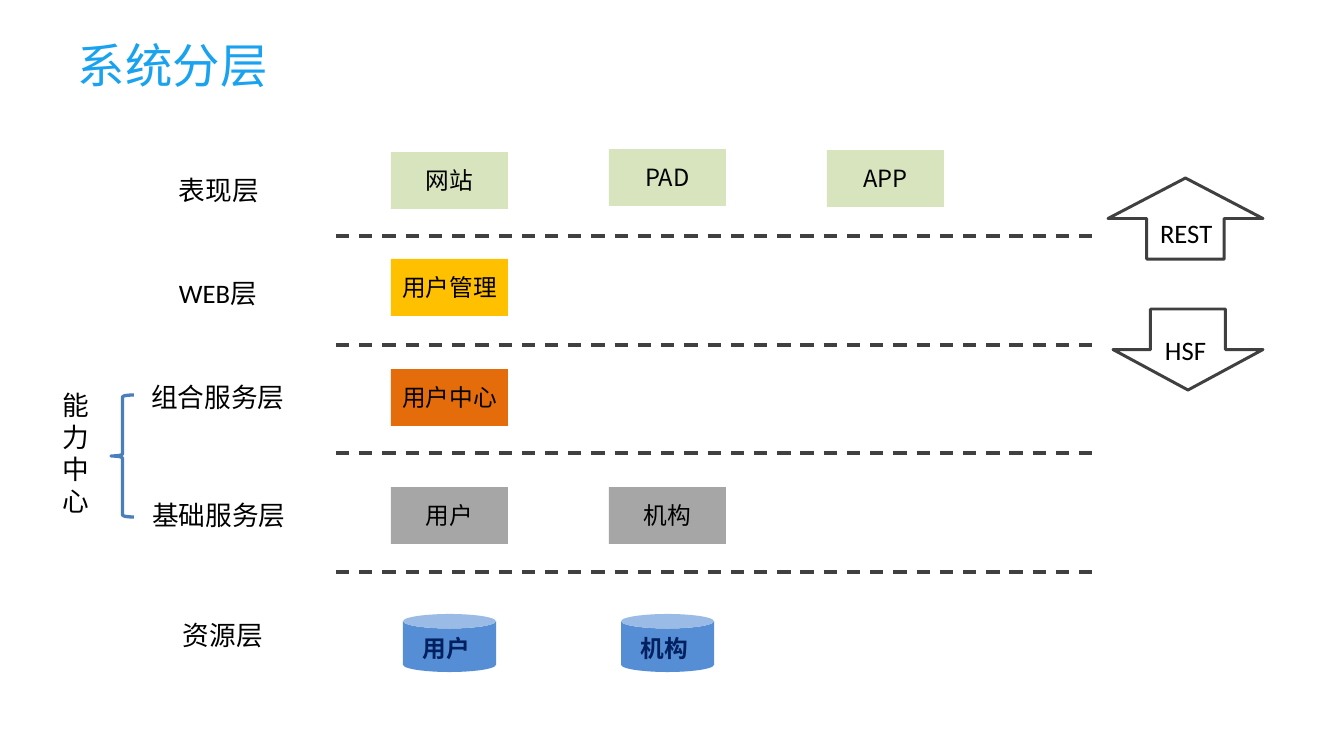
from lxml import etree
from pptx import Presentation
from pptx.dml.color import RGBColor
from pptx.enum.dml import MSO_LINE_DASH_STYLE
from pptx.enum.shapes import MSO_CONNECTOR_TYPE, MSO_SHAPE
from pptx.enum.text import MSO_ANCHOR, MSO_AUTO_SIZE, PP_ALIGN
from pptx.oxml.ns import qn
from pptx.util import Emu, Pt

DASH = MSO_LINE_DASH_STYLE.DASH
STRAIGHT = MSO_CONNECTOR_TYPE.STRAIGHT
RECTANGLE = MSO_SHAPE.RECTANGLE
CAN = MSO_SHAPE.CAN
UP_ARROW = MSO_SHAPE.UP_ARROW
LEFT_BRACE = MSO_SHAPE.LEFT_BRACE
TOP, MIDDLE = MSO_ANCHOR.TOP, MSO_ANCHOR.MIDDLE
NO_AUTOFIT = MSO_AUTO_SIZE.NONE
LEFT, CENTER = PP_ALIGN.LEFT, PP_ALIGN.CENTER

SKY = RGBColor(0x18, 0xA2, 0xEF)
BLACK = RGBColor(0x00, 0x00, 0x00)
WHITE = RGBColor(0xFF, 0xFF, 0xFF)
CHARCOAL = RGBColor(0x40, 0x40, 0x40)
NAVY = RGBColor(0x00, 0x20, 0x60)
BLUE = RGBColor(0x55, 0x8E, 0xD5)
STEEL = RGBColor(0x4B, 0x7E, 0xBC)
GREEN = RGBColor(0xD7, 0xE4, 0xBD)
AMBER = RGBColor(0xFF, 0xC0, 0x00)
ORANGE = RGBColor(0xE4, 0x6C, 0x0A)
GRAY = RGBColor(0xA6, 0xA6, 0xA6)

BODY_FONT = "Calibri"
CHINESE_FONT = "Noto Sans CJK SC"
TITLE_FONT = "Times New Roman"
TITLE_ONLY = 5
EMU_PER_PX = 8572.5

COLUMN_LEFT, COLUMN_STEP = 391, 218
BOX_WIDTH, BOX_HEIGHT = 117, 57
CAN_WIDTH, CAN_HEIGHT = 93, 58


def px(value):
    return Emu(round(value * EMU_PER_PX))


def write(shape, text, *, size=18, color=BLACK, font=BODY_FONT, east_asian=None,
          bold=False, align=LEFT, anchor=TOP, inset=(11, 5)):
    frame = shape.text_frame
    frame.word_wrap = True
    frame.auto_size = NO_AUTOFIT
    frame.vertical_anchor = anchor
    frame.margin_left = frame.margin_right = px(inset[0])
    frame.margin_top = frame.margin_bottom = px(inset[1])
    paragraph = frame.paragraphs[0]
    paragraph.alignment = align
    run = paragraph.add_run()
    run.text = text
    run.font.size = Pt(size)
    run.font.bold = bold
    run.font.name = font
    run.font.color.rgb = color
    properties = run.font._element
    etree.SubElement(properties, qn("a:ea")).set("typeface", east_asian or font)


class LayerSlide:
    def __init__(self, presentation):
        self.slide = presentation.slides.add_slide(presentation.slide_layouts[TITLE_ONLY])
        self.shapes = self.slide.shapes

    def title(self, text, left, top, width, height):
        shape = self.shapes.title
        shape.left, shape.top = px(left), px(top)
        shape.width, shape.height = px(width), px(height)
        write(shape, text, size=32, color=SKY, font=TITLE_FONT,
              east_asian=CHINESE_FONT, anchor=MIDDLE)

    def label(self, text, left, top, width, height=43, **style):
        shape = self.shapes.add_textbox(px(left), px(top), px(width), px(height))
        write(shape, text, **style)

    def shape(self, kind, left, top, width, height, fill=None, line=None, weight=2):
        shape = self.shapes.add_shape(kind, px(left), px(top), px(width), px(height))
        shape.shadow.inherit = False
        if fill is None:
            shape.fill.background()
        else:
            shape.fill.solid()
            shape.fill.fore_color.rgb = fill
        if line is None:
            shape.line.fill.background()
        else:
            shape.line.color.rgb = line
            shape.line.width = Pt(weight)
        return shape

    def box(self, text, column, top, fill):
        shape = self.shape(RECTANGLE, COLUMN_LEFT + column * COLUMN_STEP, top,
                           BOX_WIDTH, BOX_HEIGHT, fill)
        write(shape, text, size=16, font=CHINESE_FONT, align=CENTER,
              anchor=MIDDLE, inset=(8, 4))

    def database(self, text, column, top):
        left = COLUMN_LEFT + column * COLUMN_STEP + (BOX_WIDTH - CAN_WIDTH) // 2
        self.shape(CAN, left, top, CAN_WIDTH, CAN_HEIGHT, BLUE)
        self.label(text, left + 9, top + 15, 76, 39, size=16, color=NAVY, bold=True)

    def divider(self, left, right, top):
        line = self.shapes.add_connector(STRAIGHT, px(left), px(top), px(right), px(top))
        line.line.color.rgb = CHARCOAL
        line.line.width = Pt(2.25)
        line.line.dash_style = DASH
        etree.SubElement(line._element.spPr, qn("a:effectLst"))


def main():
    presentation = Presentation()
    presentation.slide_width, presentation.slide_height = px(1344), px(756)
    layers = LayerSlide(presentation)
    layers.title("系统分层", 67, 35, 1160, 60)

    for top in (236, 345, 453, 572):
        layers.divider(336, 1092, top)

    for text, left, top, width in (
        ("表现层", 168, 169, 109),
        ("WEB层", 168, 272, 109),
        ("组合服务层", 140, 376, 166),
        ("基础服务层", 141, 494, 166),
        ("资源层", 172, 614, 106),
    ):
        layers.label(text, left, top, width)

    for column, text in enumerate(("用户", "机构")):
        layers.database(text, column, 614)

    for text, column, top, fill in (
        ("用户", 0, 487, GRAY),
        ("机构", 1, 487, GRAY),
        ("用户中心", 0, 369, ORANGE),
        ("网站", 0, 152, GREEN),
        ("PAD", 1, 149, GREEN),
        ("APP", 2, 150, GREEN),
        ("用户管理", 0, 259, AMBER),
    ):
        layers.box(text, column, top, fill)

    layers.shape(UP_ARROW, 1108, 178, 155, 81, WHITE, CHARCOAL)
    down_arrow = layers.shape(UP_ARROW, 1113, 309, 150, 81, WHITE, CHARCOAL)
    down_arrow.rotation = 180
    layers.label("REST", 1149, 212, 78)
    layers.label("HSF", 1154, 329, 73)

    layers.shape(LEFT_BRACE, 111, 395, 23, 122, line=STEEL, weight=2.25)
    layers.label("能力中心", 52, 384, 44, 140)

    presentation.save("out.pptx")


if __name__ == "__main__":
    main()
